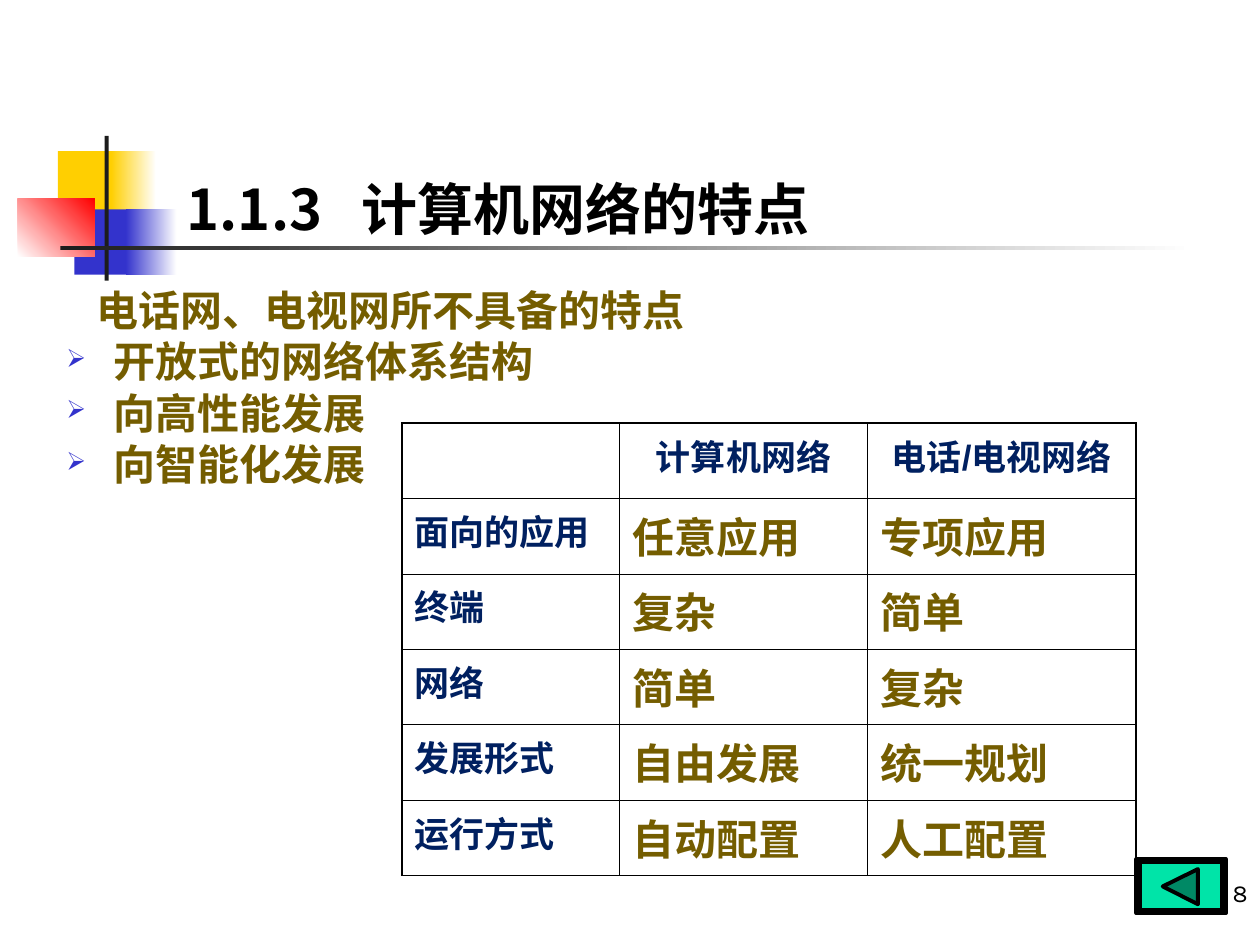
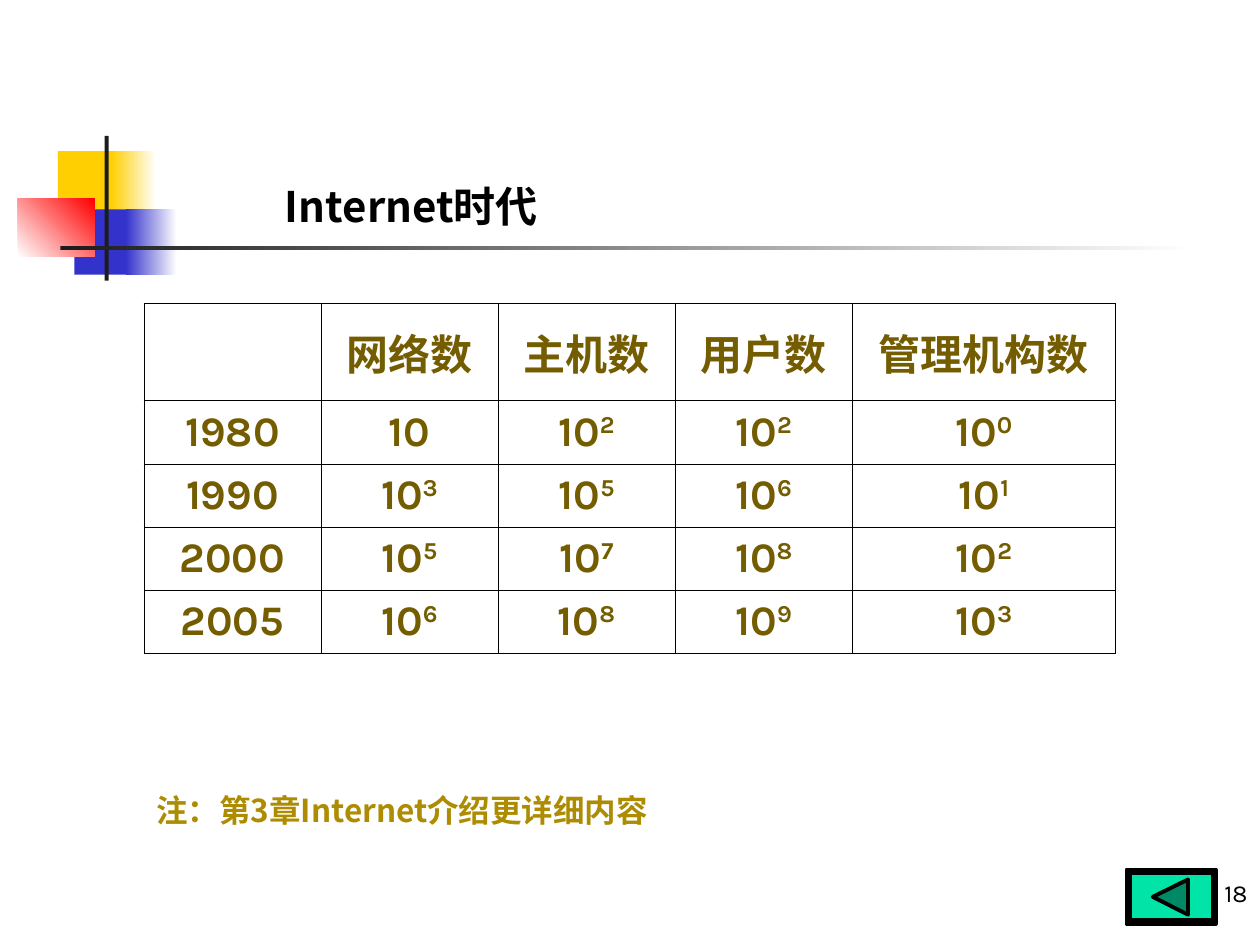
from dataclasses import dataclass
from typing import NamedTuple

from lxml import etree
from pptx import Presentation
from pptx.dml.color import RGBColor
from pptx.enum.shapes import MSO_SHAPE
from pptx.enum.text import MSO_ANCHOR, MSO_AUTO_SIZE, PP_ALIGN
from pptx.oxml.ns import qn
from pptx.util import Cm, Pt

RECT, BEVEL = MSO_SHAPE.RECTANGLE, MSO_SHAPE.BEVEL
LEFT, CENTER, RIGHT = PP_ALIGN.LEFT, PP_ALIGN.CENTER, PP_ALIGN.RIGHT
TOP, MIDDLE, BOTTOM = MSO_ANCHOR.TOP, MSO_ANCHOR.MIDDLE, MSO_ANCHOR.BOTTOM
NO_AUTOSIZE = MSO_AUTO_SIZE.NONE
TITLE_ONLY = 5


class Style(NamedTuple):
    size: float
    font: str
    color: str
    bold: bool = True


@dataclass(frozen=True)
class Theme:
    black: str = "000000"
    white: str = "FFFFFF"
    dark: str = "1C1C1C"
    yellow: str = "FFCF01"
    blue: str = "3333CC"
    red: str = "FF0000"
    button: str = "00E4A8"
    arrow: str = "008965"
    cjk: str = "Noto Sans CJK SC"
    title: Style = Style(32, "Noto Sans CJK SC", "000000")
    subtitle: Style = Style(24, "Noto Sans CJK SC", "000000")
    body: Style = Style(24, "Noto Sans CJK SC", "745D00")
    label: Style = Style(20, "Arial", "002060")
    figure: Style = Style(24, "Karla", "745D00")
    note: Style = Style(18, "Noto Sans CJK SC", "AD8C01")
    number: Style = Style(14, "Karla", "000000", False)
    button_line: float = 2.25
    thin: float = 0.45
    thick: float = 1.08


T = Theme()


class Box(NamedTuple):
    left: float
    top: float
    width: float
    height: float

    def emu(self) -> tuple:
        return tuple(Cm(v) for v in self)


class Block(NamedTuple):
    box: Box
    start: str
    end: str = ""
    angle: int = 0


class Grid(NamedTuple):
    left: float
    top: float
    cols: list
    rows: list
    cells: list
    outer: float


DECORATION = [
    Block(Box(1.17, 3.05, 1.22, 1.32), T.yellow),
    Block(Box(2.24, 3.05, 0.91, 1.32), T.yellow, T.white),
    Block(Box(1.5, 4.22, 1.17, 1.32), T.blue),
    Block(Box(2.54, 4.22, 1.02, 1.32), T.blue, T.white),
    Block(Box(0.36, 4.01, 1.55, 1.17), T.white, T.red, 45),
    Block(Box(2.11, 2.74, 0.08, 2.92), T.dark),
    Block(Box(1.22, 4.95, 22.86, 0.1), T.dark, T.white),
]

FEATURES = ["开放式的网络体系结构", "向高性能发展", "向智能化发展"]

COMPARISON = Grid(8.1, 8.53, [4.39, 5, 5.41], [1.52] * 6, [
    ["", "计算机网络", "电话/电视网络"],
    ["面向的应用", "任意应用", "专项应用"],
    ["终端", "复杂", "简单"],
    ["网络", "简单", "复杂"],
    ["发展形式", "自由发展", "统一规划"],
    ["运行方式", "自动配置", "人工配置"],
], T.thick)

GROWTH = Grid(2.9, 6.12, [3.57] * 4 + [5.31], [1.96] + [1.27] * 4, [
    ["", "网络数", "主机数", "用户数", "管理机构数"],
    ["1980", "10", "10^2", "10^2", "10^0"],
    ["1990", "10^3", "10^5", "10^6", "10^1"],
    ["2000", "10^5", "10^7", "10^8", "10^2"],
    ["2005", "10^6", "10^8", "10^9", "10^3"],
], T.thin)


def rgb(color: str) -> RGBColor:
    return RGBColor.from_string(color)


def add_run(p, text: str, style: Style, raised: bool = False) -> None:
    r = p.add_run()
    r.text = text
    r.font.size = Pt(style.size)
    r.font.bold = style.bold
    r.font.name = style.font
    r.font.color.rgb = rgb(style.color)
    rpr = r._r.get_or_add_rPr()
    etree.SubElement(rpr, qn("a:ea"), typeface=T.cjk)
    if raised:
        rpr.set("baseline", "30000")


def add_block(slide, block: Block):
    sp = slide.shapes.add_shape(RECT, *block.box.emu())
    sp.shadow.inherit = False
    sp.line.fill.background()
    if block.end:
        sp.fill.gradient()
        sp.fill.gradient_angle = block.angle
        for stop, color in zip(sp.fill.gradient_stops, (block.start, block.end)):
            stop.color.rgb = rgb(color)
    else:
        sp.fill.solid()
        sp.fill.fore_color.rgb = rgb(block.start)
    return sp


def decorate_layout(layout, slide) -> None:
    for block in DECORATION:
        layout.shapes.element.append(add_block(slide, block).element)


def set_title(slide, box: Box, style: Style):
    sp = slide.shapes.title
    sp.left, sp.top, sp.width, sp.height = box.emu()
    tf = sp.text_frame
    tf.auto_size = NO_AUTOSIZE
    tf.word_wrap = True
    tf.vertical_anchor = BOTTOM
    tf.margin_bottom = Cm(0.04)
    p = tf.paragraphs[0]
    p.alignment = LEFT
    return p


def add_tab(p, pos: float) -> None:
    tabs = etree.SubElement(p._p.get_or_add_pPr(), qn("a:tabLst"))
    etree.SubElement(tabs, qn("a:tab"), pos=str(Cm(pos)), algn="l")


def add_bullet(p) -> None:
    ppr = p._p.get_or_add_pPr()
    ppr.set("marL", str(Cm(0.95)))
    ppr.set("indent", str(Cm(-0.95)))
    clr = etree.SubElement(ppr, qn("a:buClr"))
    etree.SubElement(clr, qn("a:srgbClr"), val=T.blue)
    etree.SubElement(ppr, qn("a:buSzPct"), val="60000")
    etree.SubElement(ppr, qn("a:buChar"), char="➢")


def add_textbox(slide, box: Box, anchor=TOP):
    tf = slide.shapes.add_textbox(*box.emu()).text_frame
    tf.word_wrap = True
    tf.vertical_anchor = anchor
    return tf


def add_features(slide) -> None:
    tf = add_textbox(slide, Box(1.09, 5.72, 21.59, 5.23))
    p = tf.paragraphs[0]
    p._p.get_or_add_pPr().set("marL", str(Cm(0.61)))
    p.line_spacing = 0.9
    add_run(p, "电话网、电视网所不具备的特点", T.body)
    for text in FEATURES:
        p = tf.add_paragraph()
        add_bullet(p)
        p.line_spacing = 0.9
        p.space_before = Pt(3.5)
        add_run(p, text, T.body)


def add_number(slide, number: int) -> None:
    tf = add_textbox(slide, Box(20.12, 17.15, 5.28, 1.27), BOTTOM)
    p = tf.paragraphs[0]
    p.alignment = RIGHT
    add_run(p, str(number), T.number)


def outline(sp, fill: str) -> None:
    sp.shadow.inherit = False
    sp.fill.solid()
    sp.fill.fore_color.rgb = rgb(fill)
    sp.line.color.rgb = rgb(T.black)
    sp.line.width = Pt(T.button_line)


def add_back_button(slide, left: float, top: float) -> None:
    frame = slide.shapes.add_shape(BEVEL, *Box(left, top, 1.8, 1.09).emu())
    frame.adjustments[0] = 0.06
    outline(frame, T.button)
    tip, *base = [(Cm(left + x), Cm(top + y))
                  for x, y in ((0.53, 0.55), (1.24, 0.2), (1.24, 0.91))]
    fb = slide.shapes.build_freeform(*tip)
    fb.add_line_segments(base, close=True)
    outline(fb.convert_to_shape(), T.arrow)


def set_borders(cell, widths: dict) -> None:
    tcpr = cell._tc.get_or_add_tcPr()
    for side, width in widths.items():
        ln = etree.SubElement(tcpr, qn(f"a:ln{side}"), w=str(Pt(width)))
        fill = etree.SubElement(ln, qn("a:solidFill"))
        etree.SubElement(fill, qn("a:srgbClr"), val=T.black)


def add_grid(slide, grid: Grid, cell_format) -> None:
    n_rows, n_cols = len(grid.rows), len(grid.cols)
    box = Box(grid.left, grid.top, sum(grid.cols), sum(grid.rows))
    tbl = slide.shapes.add_table(n_rows, n_cols, *box.emu()).table
    tbl.first_row = tbl.horz_banding = False
    for col, width in zip(tbl.columns, grid.cols):
        col.width = Cm(width)
    for row, height in zip(tbl.rows, grid.rows):
        row.height = Cm(height)
    for i, texts in enumerate(grid.cells):
        for j, text in enumerate(texts):
            cell = tbl.cell(i, j)
            edges = {"L": j == 0, "R": j == n_cols - 1,
                     "T": i == 0, "B": i == n_rows - 1}
            set_borders(cell, {side: grid.outer if edge else T.thin
                               for side, edge in edges.items()})
            cell.fill.background()
            style, align, anchor = cell_format(i, j)
            cell.vertical_anchor = anchor
            p = cell.text_frame.paragraphs[0]
            p.alignment = align
            base, _, power = text.partition("^")
            if base:
                add_run(p, base, style)
            if power:
                add_run(p, power, style, raised=True)


def comparison_format(i: int, j: int) -> tuple:
    style = T.body if i and j else T.label
    return style, LEFT if i else CENTER, TOP


def growth_format(i: int, j: int) -> tuple:
    return T.figure, CENTER, MIDDLE


def build_features_slide(slide) -> None:
    p = set_title(slide, Box(3.51, 1.73, 16.61, 3.18), T.title)
    add_tab(p, 3.53)
    add_run(p, "1.1.3\t计算机网络的特点", T.title)
    add_features(slide)
    add_number(slide, 8)
    add_back_button(slide, 22.91, 17.32)
    add_grid(slide, COMPARISON, comparison_format)


def build_internet_slide(slide) -> None:
    p = set_title(slide, Box(5.49, 2.92, 8.41, 1.78), T.subtitle)
    add_run(p, "Internet时代", T.subtitle)
    add_number(slide, 18)
    add_grid(slide, GROWTH, growth_format)
    tf = add_textbox(slide, Box(2.9, 15.82, 14.2, 1.02))
    add_run(tf.paragraphs[0], "注：第3章Internet介绍更详细内容", T.note)
    add_back_button(slide, 22.71, 17.53)


def main() -> None:
    prs = Presentation()
    prs.slide_width, prs.slide_height = Cm(25.4), Cm(19.05)
    layout = prs.slide_layouts[TITLE_ONLY]
    features, internet = [prs.slides.add_slide(layout) for _ in range(2)]
    decorate_layout(layout, features)
    build_features_slide(features)
    build_internet_slide(internet)
    prs.save("out.pptx")


if __name__ == "__main__":
    main()
